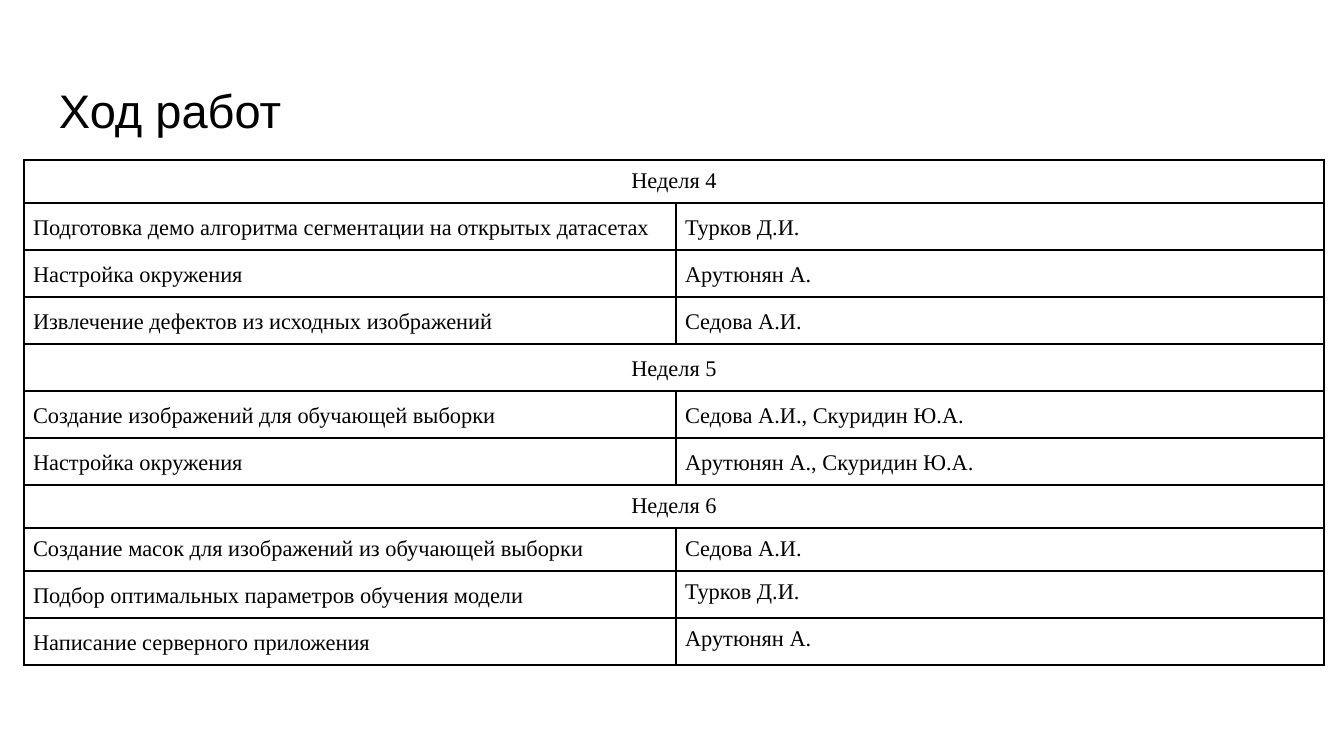
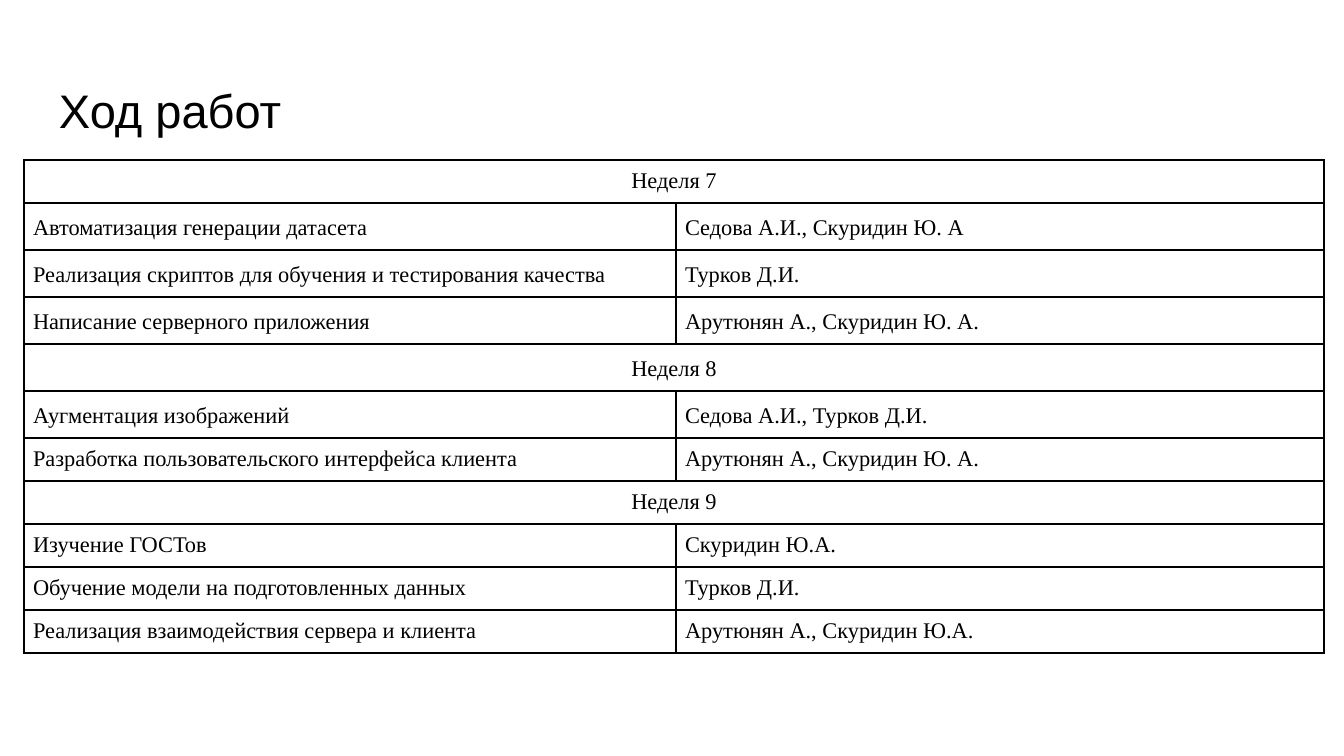
import pptx
import pptx.dml.color
import pptx.enum.text
import pptx.oxml
import pptx.oxml.ns
import pptx.util

PX = 914400 / 134.4
COLORS = {"ink": "000000", "page": "FFFFFF"}
TITLE = "Ход работ"
TITLE_BOX = (46, 66, 1252, 85)
TABLE_AT = (24, 160)
COLS = (652, 648)
INSET = 9
TIGHT, LOOSE = 1.0, 1.15
HEIGHTS = {TIGHT: 43, LOOSE: 47}

# One list per slide; a week is (name, spacing, tasks),
# a task is (work, people, spacing of work, spacing of people).
PLANS = [
    [
        ("Неделя 4", TIGHT, [
            ("Подготовка демо алгоритма сегментации на открытых датасетах", "Турков Д.И.", LOOSE, LOOSE),
            ("Настройка окружения", "Арутюнян А.", LOOSE, LOOSE),
            ("Извлечение дефектов из исходных изображений", "Седова А.И.", LOOSE, LOOSE),
        ]),
        ("Неделя 5", LOOSE, [
            ("Создание изображений для обучающей выборки", "Седова А.И., Скуридин Ю.А.", LOOSE, LOOSE),
            ("Настройка окружения", "Арутюнян А., Скуридин Ю.А.", LOOSE, LOOSE),
        ]),
        ("Неделя 6", TIGHT, [
            ("Создание масок для изображений из обучающей выборки", "Седова А.И.", TIGHT, TIGHT),
            ("Подбор оптимальных параметров обучения модели", "Турков Д.И.", LOOSE, TIGHT),
            ("Написание серверного приложения", "Арутюнян А.", LOOSE, TIGHT),
        ]),
    ],
    [
        ("Неделя 7", TIGHT, [
            ("Автоматизация генерации датасета", "Седова А.И., Скуридин Ю. А", LOOSE, LOOSE),
            ("Реализация скриптов для обучения и тестирования качества", "Турков Д.И.", LOOSE, LOOSE),
            ("Написание серверного приложения", "Арутюнян А., Скуридин Ю. А.", LOOSE, LOOSE),
        ]),
        ("Неделя 8", LOOSE, [
            ("Аугментация изображений", "Седова А.И., Турков Д.И.", LOOSE, LOOSE),
            ("Разработка пользовательского интерфейса клиента", "Арутюнян А., Скуридин Ю. А.", TIGHT, TIGHT),
        ]),
        ("Неделя 9", TIGHT, [
            ("Изучение ГОСТов", "Скуридин Ю.А.", TIGHT, TIGHT),
            ("Обучение модели на подготовленных данных", "Турков Д.И.", TIGHT, TIGHT),
            ("Реализация взаимодействия сервера и клиента", "Арутюнян А., Скуридин Ю.А.", TIGHT, TIGHT),
        ]),
    ],
]


def px(size):
    return pptx.util.Emu(round(size * PX))


def rgb(name):
    return pptx.dml.color.RGBColor.from_string(COLORS[name])


def set_font(para, face, size):
    para.font.name = face
    para.font.size = pptx.util.Pt(size)
    para.font.color.rgb = rgb("ink")


def set_insets(box, size):
    box.margin_left = box.margin_right = px(size)
    box.margin_top = box.margin_bottom = px(size)


def add_title(slide):
    title = slide.shapes.title
    title.left, title.top, title.width, title.height = map(px, TITLE_BOX)
    frame = title.text_frame
    frame.text = TITLE
    frame.word_wrap = True
    frame.vertical_anchor = pptx.enum.text.MSO_ANCHOR.BOTTOM
    set_insets(frame, 13)
    para = frame.paragraphs[0]
    para.alignment = pptx.enum.text.PP_ALIGN.LEFT
    set_font(para, "Arial", 25.2)


def add_borders(cell):
    props = cell._tc.get_or_add_tcPr()
    for side in "LRTB":
        props.append(pptx.oxml.parse_xml(
            f'<a:ln{side} {pptx.oxml.ns.nsdecls("a")} w="12700"><a:solidFill>'
            f'<a:srgbClr val="{COLORS["ink"]}"/></a:solidFill></a:ln{side}>'))


def write_cell(cell, text, spacing, align):
    cell.text = text
    para = cell.text_frame.paragraphs[0]
    para.alignment = align
    para.line_spacing = spacing
    set_font(para, "Times New Roman", 12)


def add_plan(slide, weeks):
    rows = []
    for name, spacing, tasks in weeks:
        rows += [(name, None, spacing, spacing), *tasks]
    tall = [HEIGHTS[max(row[2:])] for row in rows]
    table = slide.shapes.add_table(
        len(rows), len(COLS), *map(px, (*TABLE_AT, sum(COLS), sum(tall)))).table
    table.first_row = table.horz_banding = False
    for col, width in zip(table.columns, COLS):
        col.width = px(width)

    align = pptx.enum.text.PP_ALIGN
    for i, (work, people, first, second) in enumerate(rows):
        table.rows[i].height = px(tall[i])
        left, right = table.cell(i, 0), table.cell(i, 1)
        for cell in (left, right):
            set_insets(cell, INSET)
            add_borders(cell)
            cell.fill.solid()
            cell.fill.fore_color.rgb = rgb("page")
        if people is None:
            left.merge(right)
            write_cell(left, work, first, align.CENTER)
        else:
            write_cell(left, work, first, align.LEFT)
            write_cell(right, people, second, align.LEFT)


def main():
    deck = pptx.Presentation()
    deck.slide_width, deck.slide_height = px(1344), px(756)
    for weeks in PLANS:
        slide = deck.slides.add_slide(deck.slide_layouts[5])
        add_title(slide)
        add_plan(slide, weeks)
    deck.save("out.pptx")


if __name__ == "__main__":
    main()
